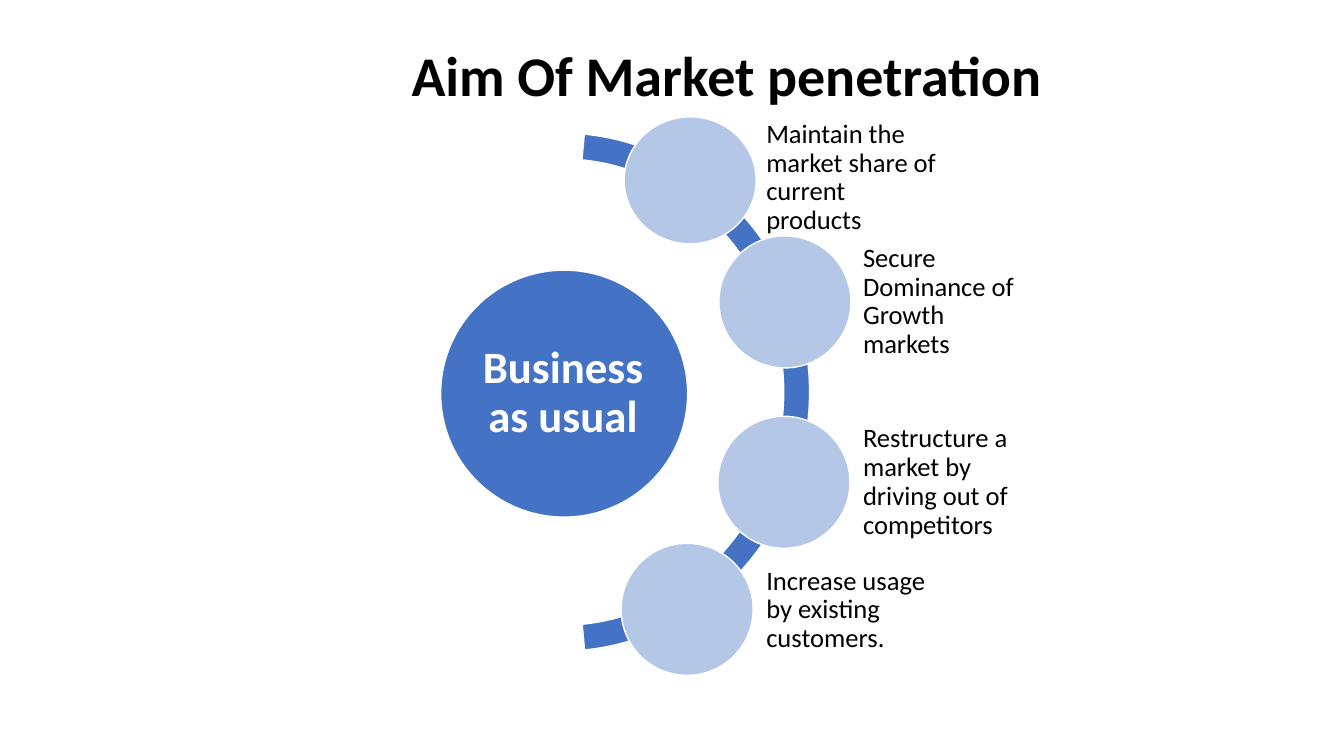
import pptx
import pptx.util
from pptx.dml.color import RGBColor
from pptx.enum.shapes import MSO_SHAPE
from pptx.enum.text import MSO_ANCHOR, MSO_AUTO_SIZE, PP_ALIGN

Inches = pptx.util.Inches
Pt = pptx.util.Pt

BLUE = "4472C4"
PALE_BLUE = "B4C7E7"
WHITE = "FFFFFF"
BLACK = "000000"

AIMS = [
    ("Maintain the market share of current products", 6.19, 1.16, 1.26, 7.57, 1.13),
    ("Secure Dominance of Growth markets", 7.13, 2.34, 1.31, 8.53, 2.36),
    ("Restructure a market by driving out of competitors", 7.12, 4.13, 1.31, 8.53, 4.15),
    ("Increase usage by existing customers.", 6.16, 5.39, 1.31, 7.57, 5.42),
]


def rgb(value):
    return RGBColor.from_string(value)


def box(*lengths):
    return [Inches(length) for length in lengths]


def write(tf, text, size, color, align, bold=False):
    tf.word_wrap = True
    tf.text = text
    p = tf.paragraphs[0]
    p.alignment = align
    font = p.runs[0].font
    font.name = "Calibri"
    font.size = Pt(size)
    font.bold = bold
    font.color.rgb = rgb(color)


def add_title(slide, text):
    sp = slide.shapes.title
    sp.left, sp.top, sp.width, sp.height = box(3.71, 0.35, 6.99, 0.77)
    tf = sp.text_frame
    write(tf, text, 40, BLACK, PP_ALIGN.CENTER, bold=True)
    tf.vertical_anchor = MSO_ANCHOR.TOP
    tf.auto_size = MSO_AUTO_SIZE.SHAPE_TO_FIT_TEXT


def add_outlined(shapes, kind, position, color):
    sp = shapes.add_shape(kind, *box(*position))
    sp.shadow.inherit = False
    sp.fill.solid()
    sp.fill.fore_color.rgb = rgb(color)
    sp.line.color.rgb = rgb(WHITE)
    sp.line.width = Pt(1)
    return sp


def add_label(shapes, position, text, size, color, align, inset, bold=False):
    tf = shapes.add_textbox(*box(*position)).text_frame
    write(tf, text, size, color, align, bold)
    tf.paragraphs[0].line_spacing = 0.9
    tf.vertical_anchor = MSO_ANCHOR.MIDDLE
    tf.margin_left = tf.margin_right = Inches(inset)
    tf.margin_top = tf.margin_bottom = Inches(inset)


def add_hub(shapes, text):
    add_outlined(shapes, MSO_SHAPE.OVAL, (4.37, 2.68, 2.45, 2.45), BLUE)
    add_label(shapes, (4.72, 3.04, 1.73, 1.73), text, 32, WHITE,
              PP_ALIGN.CENTER, 0.04, bold=True)


def add_arc(shapes):
    arc = add_outlined(shapes, MSO_SHAPE.BLOCK_ARC, (3.1, 1.32, 4.93, 5.14), BLUE)
    for i, value in enumerate((165.09, 50.88, 0.052)):
        arc.adjustments[i] = value


def add_aim(shapes, text, left, top, height, label_left, label_top):
    add_outlined(shapes, MSO_SHAPE.OVAL, (left, top, 1.31, height), PALE_BLUE)
    add_label(shapes, (label_left, label_top, 1.75, 1.27), text, 19, BLACK,
              PP_ALIGN.LEFT, 0.03)


def main():
    prs = pptx.Presentation()
    prs.slide_width, prs.slide_height = box(13.33, 7.5)
    slide = prs.slides.add_slide(prs.slide_layouts[5])
    add_title(slide, "Aim Of Market penetration")
    diagram = slide.shapes.add_group_shape().shapes
    add_hub(diagram, "Business as usual")
    add_arc(diagram)
    for aim in AIMS:
        add_aim(diagram, *aim)
    prs.save("out.pptx")


if __name__ == "__main__":
    main()
